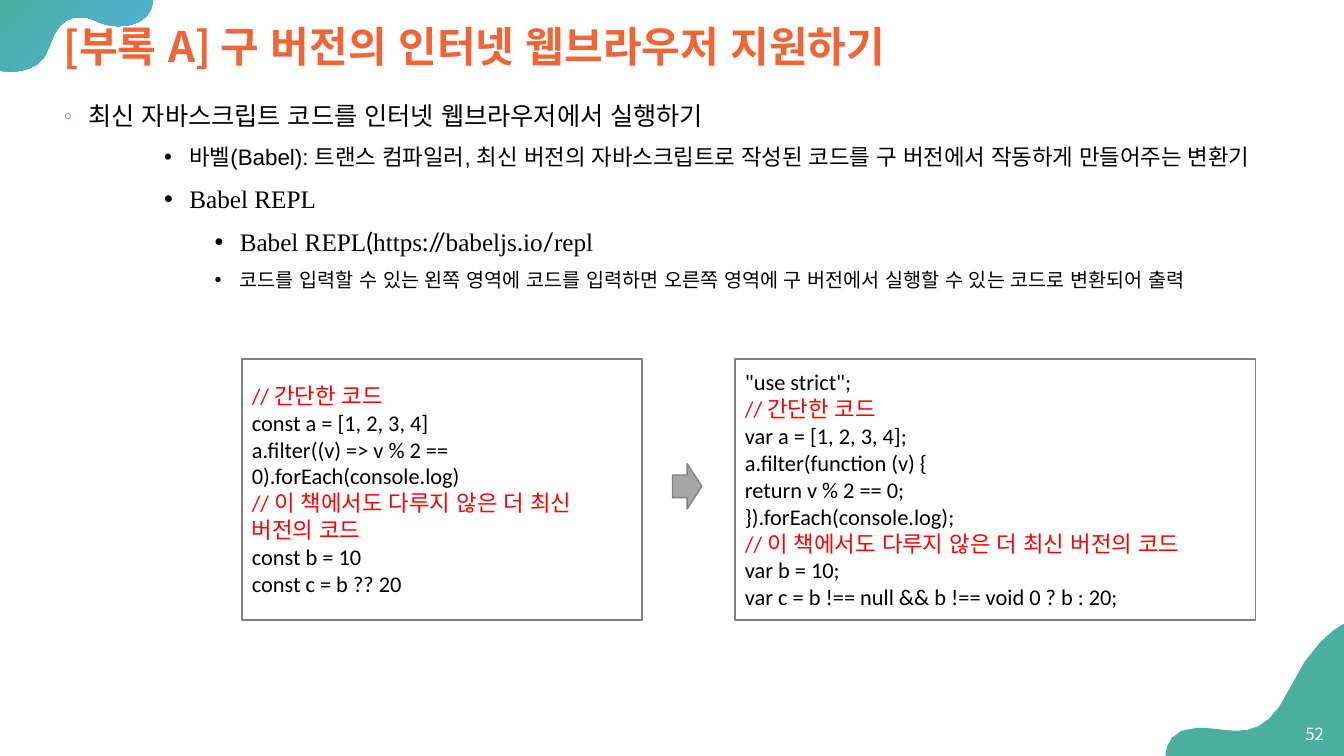
"""Builds the appendix slide on supporting old browsers with Babel."""
import pptx
import pptx.dml.color
import pptx.enum.shapes
import pptx.enum.text
import pptx.util
from lxml import etree
from pptx.oxml.ns import qn

Inches, Pt = pptx.util.Inches, pptx.util.Pt
SHAPE = pptx.enum.shapes.MSO_SHAPE
ALIGN = pptx.enum.text.PP_ALIGN
ANCHOR = pptx.enum.text.MSO_ANCHOR

THEME = {
    "teal": "4BB0A0", "blue": "52AEE1", "orange": "F06436", "text": "000000",
    "comment": "FF0000", "border": "808080", "arrow": "A6A6A6", "white": "FFFFFF",
    "heading": "Noto Sans CJK KR", "body": "Arial", "serif": "Times New Roman",
    "url": "Lato", "code": "Calibri",
    "title_size": 30, "topic_size": 18, "point_size": 16, "detail_size": 14,
    "code_size": 16, "number_size": 12,
}

TITLE = "[부록 A] 구 버전의 인터넷 웹브라우저 지원하기"
PAGE_NUMBER = "52"
OUTLINE = [
    (0, "topic_size", [("최신 자바스크립트 코드를 인터넷 웹브라우저에서 실행하기", "body")]),
    (2, "point_size", [("바벨(Babel): 트랜스 컴파일러, 최신 버전의 자바스크립트로 작성된 코드를 "
                        "구 버전에서 작동하게 만들어주는 변환기", "body")]),
    (2, "topic_size", [("Babel REPL", "serif")]),
    (3, "topic_size", [("Babel REPL", "serif"), ("(", "url"), ("https", "serif"),
                       ("://", "url"), ("babeljs", "serif"), (".", "url"),
                       ("io", "serif"), ("/", "url"), ("repl", "serif")]),
    (3, "detail_size", [("코드를 입력할 수 있는 왼쪽 영역에 코드를 입력하면 오른쪽 영역에 "
                         "구 버전에서 실행할 수 있는 코드로 변환되어 출력", "body")]),
]
INDENTS = {0: 0.25, 2: 1.25, 3: 1.75}
CODE_TOP, CODE_HEIGHT = 3.56, 2.59
CODE_PANELS = [
    (2.4, 3.97, ["// 간단한 코드", "const a = [1, 2, 3, 4]",
                 "a.filter((v) => v % 2 == 0).forEach(console.log)",
                 "// 이 책에서도 다루지 않은 더 최신 버전의 코드",
                 "const b = 10", "const c = b ?? 20"]),
    (7.29, 5.16, ['"use strict";', "// 간단한 코드", "var a = [1, 2, 3, 4];",
                  "a.filter(function (v) {", "return v % 2 == 0;",
                  "}).forEach(console.log);",
                  "// 이 책에서도 다루지 않은 더 최신 버전의 코드",
                  "var b = 10;", "var c = b !== null && b !== void 0 ? b : 20;"]),
]
TOP_WAVE = [(1.52, -0.02), (-0.01, -0.02), (-0.01, 0.7),
            (-0.01, 0.7, 0.04, 0.71, 0.11, 0.71), (0.24, 0.71, 0.43, 0.67, 0.49, 0.46),
            (0.56, 0.23, 0.68, 0.17, 0.79, 0.17), (0.84, 0.17, 0.89, 0.18, 0.93, 0.2),
            (1.01, 0.24, 1.1, 0.26, 1.18, 0.26), (1.37, 0.26, 1.52, 0.17, 1.52, -0.02)]
BOTTOM_WAVE = [(13.35, 6.18), (13.35, 6.18, 13.04, 6.29, 12.78, 6.85),
               (12.62, 7.18, 12.45, 7.25, 12.27, 7.25),
               (12.15, 7.25, 12.02, 7.22, 11.88, 7.22),
               (11.54, 7.22, 11.56, 7.51, 11.56, 7.51), (13.35, 7.51)]


def color(name):
    return pptx.dml.color.RGBColor.from_string(THEME[name])


def box(left, top, width, height):
    return [Inches(value) for value in (left, top, width, height)]


def style(run, font, size, ink, bold=False):
    run.font.name = THEME[font]
    run.font.size = Pt(THEME[size])
    run.font.color.rgb = color(ink)
    run.font.bold = bold
    etree.SubElement(run._r.get_or_add_rPr(), qn("a:ea"), typeface=THEME["body"])


def paint(shape, fill=None, line=None):
    shape.shadow.inherit = False
    if fill:
        shape.fill.solid()
        shape.fill.fore_color.rgb = color(fill)
    else:
        shape.fill.background()
    if line:
        shape.line.color.rgb = color(line)
        shape.line.width = Pt(1)
    else:
        shape.line.fill.background()


def flatten(segments, steps=5):
    points = [segments[0]]
    for segment in segments[1:]:
        if len(segment) == 2:
            points.append(segment)
            continue
        curve = [points[-1], segment[:2], segment[2:4], segment[4:]]
        for step in range(1, steps + 1):
            t = step / steps
            weights = ((1 - t) ** 3, 3 * t * (1 - t) ** 2, 3 * t * t * (1 - t), t ** 3)
            points.append(tuple(sum(w * p[axis] for w, p in zip(weights, curve))
                                for axis in (0, 1)))
    return points


def add_wave(slide, segments):
    start, *rest = [(Inches(x), Inches(y)) for x, y in flatten(segments)]
    builder = slide.shapes.build_freeform(*start)
    builder.add_line_segments(rest, close=True)
    wave = builder.convert_to_shape()
    paint(wave, "teal")
    return wave


def add_bullet(paragraph, level):
    properties = paragraph._p.get_or_add_pPr()
    properties.set("marL", str(Inches(INDENTS[level])))
    properties.set("indent", str(-Inches(0.25)))
    if level == 0:
        tint = etree.SubElement(properties, qn("a:buClr"))
        etree.SubElement(tint, qn("a:srgbClr"), val=THEME["teal"])
    etree.SubElement(properties, qn("a:buFont"), typeface=THEME["body"])
    etree.SubElement(properties, qn("a:buChar"), char="•" if level else "◦")


def add_outline(slide):
    frame = slide.shapes.add_textbox(*box(0.53, 0.89, 12.34, 5.81)).text_frame
    frame.word_wrap = True
    for index, (level, size, pieces) in enumerate(OUTLINE):
        paragraph = frame.add_paragraph() if index else frame.paragraphs[0]
        paragraph.level = level
        paragraph.line_spacing = 1.2
        paragraph.space_before = Pt(5 if level else 10)
        add_bullet(paragraph, level)
        for words, font in pieces:
            run = paragraph.add_run()
            run.text = words
            style(run, font, size, "text")


def add_code_panel(slide, left, width, lines):
    panel = slide.shapes.add_shape(SHAPE.RECTANGLE, *box(left, CODE_TOP, width, CODE_HEIGHT))
    paint(panel, line="border")
    frame = panel.text_frame
    frame.text = "\n".join(lines)
    frame.word_wrap = True
    frame.vertical_anchor = ANCHOR.MIDDLE
    for paragraph in frame.paragraphs:
        paragraph.alignment = ALIGN.LEFT
        ink = "comment" if paragraph.text.startswith("//") else "text"
        style(paragraph.runs[0], "code", "code_size", ink)


def add_heading(slide):
    title = slide.shapes.title
    title.left, title.top, title.width, title.height = box(0.53, 0.12, 12.34, 0.73)
    frame = title.text_frame
    frame.text = TITLE
    frame.vertical_anchor = ANCHOR.MIDDLE
    frame.paragraphs[0].alignment = ALIGN.LEFT
    frame.paragraphs[0].line_spacing = 0.9
    style(frame.paragraphs[0].runs[0], "heading", "title_size", "orange", bold=True)


def add_page_number(slide):
    frame = slide.shapes.add_textbox(*box(12.79, 7.08, 0.44, 0.4)).text_frame
    frame.text = PAGE_NUMBER
    frame.word_wrap = True
    frame.vertical_anchor = ANCHOR.MIDDLE
    frame.paragraphs[0].alignment = ALIGN.RIGHT
    style(frame.paragraphs[0].runs[0], "heading", "number_size", "white")


def main():
    deck = pptx.Presentation()
    deck.slide_width, deck.slide_height = Inches(13.33), Inches(7.5)
    slide = deck.slides.add_slide(deck.slide_layouts[5])
    top_wave = add_wave(slide, TOP_WAVE)
    top_wave.fill.gradient()
    top_wave.fill.gradient_angle = 315
    for stop, name in zip(top_wave.fill.gradient_stops, ("teal", "blue")):
        stop.color.rgb = color(name)
    add_wave(slide, BOTTOM_WAVE)
    add_outline(slide)
    add_heading(slide)
    add_page_number(slide)
    for left, width, lines in CODE_PANELS:
        add_code_panel(slide, left, width, lines)
    arrow = slide.shapes.add_shape(SHAPE.RIGHT_ARROW, *box(6.67, 4.6, 0.29, 0.45))
    paint(arrow, "arrow", "border")
    deck.save("out.pptx")


if __name__ == "__main__":
    main()
